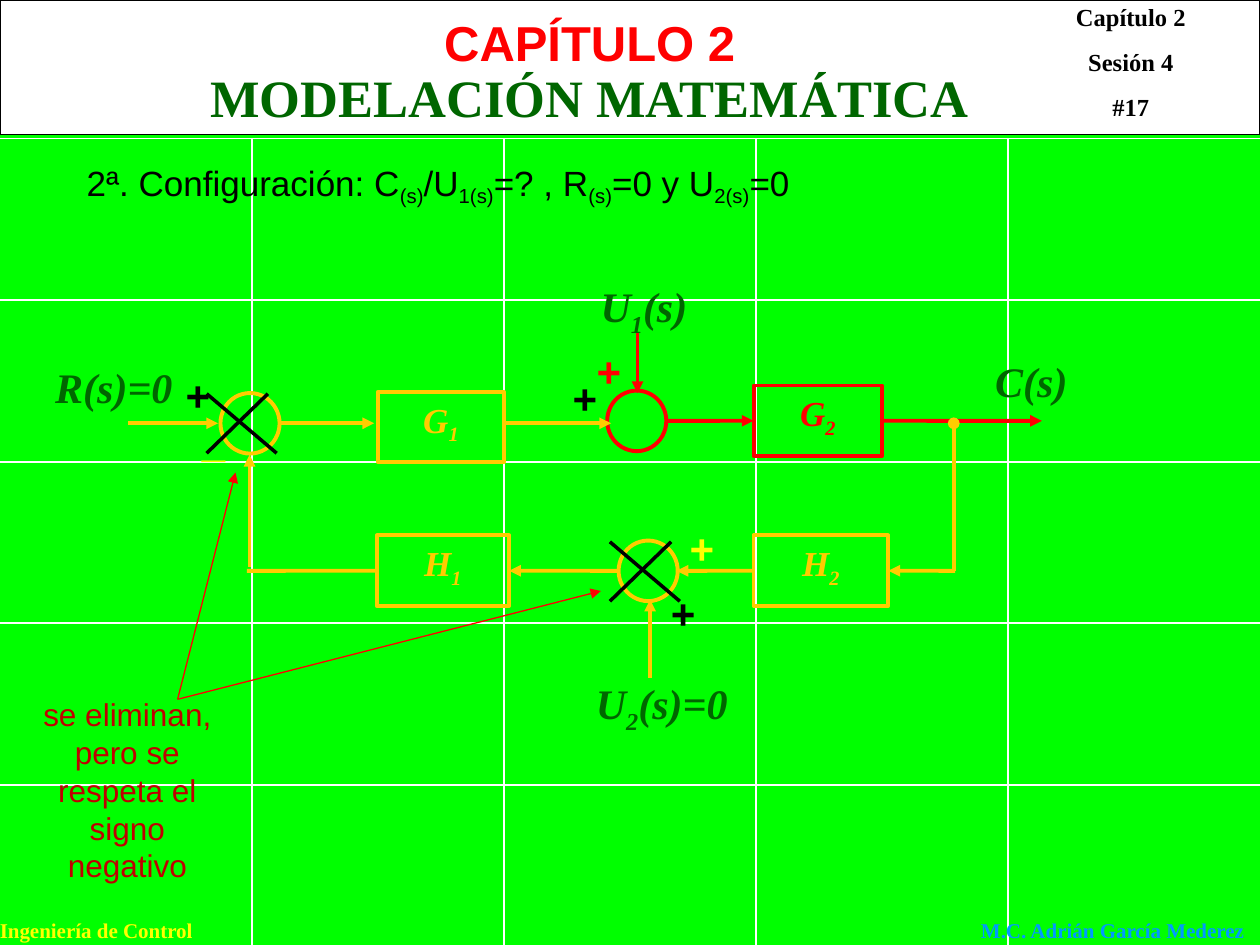
import pptx
import pptx.util
import pptx.dml.color
import pptx.enum.shapes
import pptx.enum.text
import lxml.etree

Pt = pptx.util.Pt
SHAPES = pptx.enum.shapes.MSO_SHAPE
ALIGN = pptx.enum.text.PP_ALIGN
SERIF, SANS = "Times New Roman", "Arial"
TOP, LEFT, BOTTOM, RIGHT = range(4)
AMBER, RED, GREEN, BLACK = "FFCC00", "FF0000", "006600", "000000"
YELLOW, WHITE = "FFFF00", "FFFFFF"


def paint(color_format, color):
    color_format.rgb = pptx.dml.color.RGBColor.from_string(color)


def write(frame, text, size, color, font=SERIF, bold=True, italic=False,
          align=ALIGN.LEFT, gap=0, drop=-25):
    for number, line in enumerate(text.split("\n")):
        paragraph = frame.add_paragraph() if number else frame.paragraphs[0]
        paragraph.alignment = align
        if number:
            paragraph.space_before = Pt(gap)
        paragraph.font.size = Pt(size)
        paragraph.font.name = font
        paragraph.font.bold = bold
        paragraph.font.italic = italic
        paint(paragraph.font.color, color)
        # Text between bars is subscript.
        for index, part in enumerate(line.split("|")):
            if part:
                run = paragraph.add_run()
                run.text = part
                if index % 2:
                    run._r.get_or_add_rPr().set("baseline", str(drop * 1000))


def label(slide, x, y, width, height, text, size, color, wrap=False, **style):
    box = slide.shapes.add_textbox(Pt(x), Pt(y), Pt(width), Pt(height))
    box.text_frame.word_wrap = wrap
    write(box.text_frame, text, size, color, **style)


def outline(slide, kind, x, y, width, height, color, weight=2.25, fill=None):
    shape = slide.shapes.add_shape(kind, Pt(x), Pt(y), Pt(width), Pt(height))
    shape.shadow.inherit = False
    if fill:
        shape.fill.solid()
        paint(shape.fill.fore_color, fill)
    else:
        shape.fill.background()
    paint(shape.line.color, color)
    shape.line.width = Pt(weight)
    return shape


def block(slide, x, y, width, name, color):
    box = outline(slide, SHAPES.RECTANGLE, x, y, width, 40.3, color)
    box.text_frame.vertical_anchor = pptx.enum.text.MSO_ANCHOR.TOP
    write(box.text_frame, name, 20, color, italic=True, align=ALIGN.CENTER)
    return box


def wire(slide, start, end, color, weight=2.25, tip=None, source=None, target=None):
    line = slide.shapes.add_connector(
        pptx.enum.shapes.MSO_CONNECTOR.STRAIGHT, *(Pt(v) for v in start + end))
    paint(line.line.color, color)
    line.line.width = Pt(weight)
    if tip:
        stroke = line.line._get_or_add_ln()
        lxml.etree.SubElement(stroke, pptx.oxml.ns.qn("a:tailEnd"), type=tip)
    lxml.etree.SubElement(line._element.spPr, pptx.oxml.ns.qn("a:effectLst"))
    if source:
        line.begin_connect(*source)
    if target:
        line.end_connect(*target)


def draw_background(slide):
    slide.background.fill.solid()
    paint(slide.background.fill.fore_color, "00FF00")
    for column in range(1, 5):
        wire(slide, (144 * column, 79.2), (144 * column, 540), WHITE, 1)
    for row in range(5):
        y = 79.2 + 92.3 * row
        wire(slide, (0, y), (720, y), WHITE, 1)


def draw_headings(slide):
    outline(slide, SHAPES.RECTANGLE, 0, 0, 720, 77, BLACK, 0.75, WHITE)
    label(slide, -8.6, 520.5, 127.4, 21.6, "Ingeniería de Control", 12, YELLOW,
          align=ALIGN.CENTER)
    label(slide, 553.5, 520.5, 165.6, 21.6, "M.C. Adrián García Mederez", 12, "0099FF")
    label(slide, 586.8, -2.2, 118.8, 75.6, "Capítulo 2\nSesión 4\n#17", 14, BLACK,
          align=ALIGN.CENTER, gap=8.8)
    label(slide, 64.8, 3.6, 544.3, 41, "CAPÍTULO 2", 28, RED, font=SANS,
          align=ALIGN.CENTER)
    label(slide, 64.8, 33.8, 544.3, 43.2, "MODELACIÓN MATEMÁTICA", 30, GREEN,
          align=ALIGN.CENTER)
    label(slide, 42.5, 88.6, 453.6, 34.6,
          "2ª. Configuración: C|(s)|/U|1(s)|=? , R|(s)|=0 y U|2(s)|=0", 20, BLACK,
          font=SANS, bold=False, drop=-20)


def draw_diagram(slide):
    g1 = block(slide, 216, 223.9, 72, "G|1|", AMBER)
    g2 = block(slide, 430.6, 220.3, 73.4, "G|2|", RED)
    h1 = block(slide, 215.3, 306, 75.6, "H|1|", AMBER)
    h2 = block(slide, 430.6, 306, 77, "H|2|", AMBER)
    for x, y, color in ((126, 224.6, AMBER), (347, 223.2, RED), (353.5, 308.9, AMBER)):
        outline(slide, SHAPES.OVAL, x, y, 33.8, 34.6, color)

    arrow = "triangle"
    forward, output, feedback = 241.9, 240.5, 326.2
    wire(slide, (73.4, forward), (124.6, forward), AMBER, tip=arrow)
    wire(slide, (160.6, forward), (213.8, forward), AMBER, tip=arrow)
    wire(slide, (288, forward), (349.2, forward), AMBER, tip=arrow)
    wire(slide, (380.9, output), (430.6, output), RED, tip=arrow, target=(g2, LEFT))
    wire(slide, (504, output), (595.4, output), RED, tip=arrow, source=(g2, RIGHT))
    wire(slide, (545.8, feedback), (507.6, feedback), AMBER, tip=arrow, target=(h2, RIGHT))
    wire(slide, (430.6, feedback), (386.6, feedback), AMBER, tip=arrow, source=(h2, LEFT))
    wire(slide, (354.2, feedback), (290.9, feedback), AMBER, tip=arrow, target=(h1, RIGHT))
    wire(slide, (215.3, feedback), (141.1, feedback), AMBER, source=(h1, LEFT))
    wire(slide, (142.6, 324), (142.6, 259.9), AMBER, tip=arrow)
    wire(slide, (545, feedback), (545, forward), AMBER, tip="oval")
    wire(slide, (364.3, 190.1), (364.3, 224.6), RED, tip=arrow)
    wire(slide, (371.5, 387.4), (371.5, 342.7), AMBER, tip=arrow)

    for x, y, width, signal in ((24.5, 203, 90.7, "R(s)=0"), (561.6, 199.4, 80.6, "C(s)"),
                                (328, 157, 80, "U|1|(s)"), (333.4, 383.8, 106.6, "U|2|(s)=0")):
        align = ALIGN.CENTER if signal == "U|1|(s)" else ALIGN.LEFT
        label(slide, x, y, width, 40.3, signal, 24, GREEN, italic=True, align=align)
    for x, y, sign, color in ((109.4, 234, "_", YELLOW), (98.6, 207.4, "+", BLACK),
                              (319.7, 209.5, "+", BLACK), (386.6, 295.2, "+", YELLOW),
                              (375.8, 331.9, "+", BLACK), (333.4, 193.7, "+", RED)):
        label(slide, x, y, 34.6, 36, sign, 24, color, font=SANS, italic=True)


def draw_eliminations(slide):
    for x, y in ((118.1, 225), (348.5, 309.6)):
        wire(slide, (x, y), (x + 40, y + 34), BLACK, 2)
        wire(slide, (x + 35, y), (x, y + 34), BLACK, 2)
    label(slide, 16.6, 393.8, 112.3, 115.2,
          "se eliminan, pero se respeta el signo negativo", 18, "C00000",
          wrap=True, font=SANS, bold=False, align=ALIGN.CENTER)
    for crossing in ((134.6, 270), (343.4, 337.7)):
        wire(slide, (101.5, 399.6), crossing, RED, 0.75, tip="triangle")


def main():
    presentation = pptx.Presentation()
    presentation.slide_width, presentation.slide_height = Pt(720), Pt(540)
    slide = presentation.slides.add_slide(presentation.slide_layouts[6])
    draw_background(slide)
    draw_headings(slide)
    draw_diagram(slide)
    draw_eliminations(slide)
    presentation.save("out.pptx")


if __name__ == "__main__":
    main()
